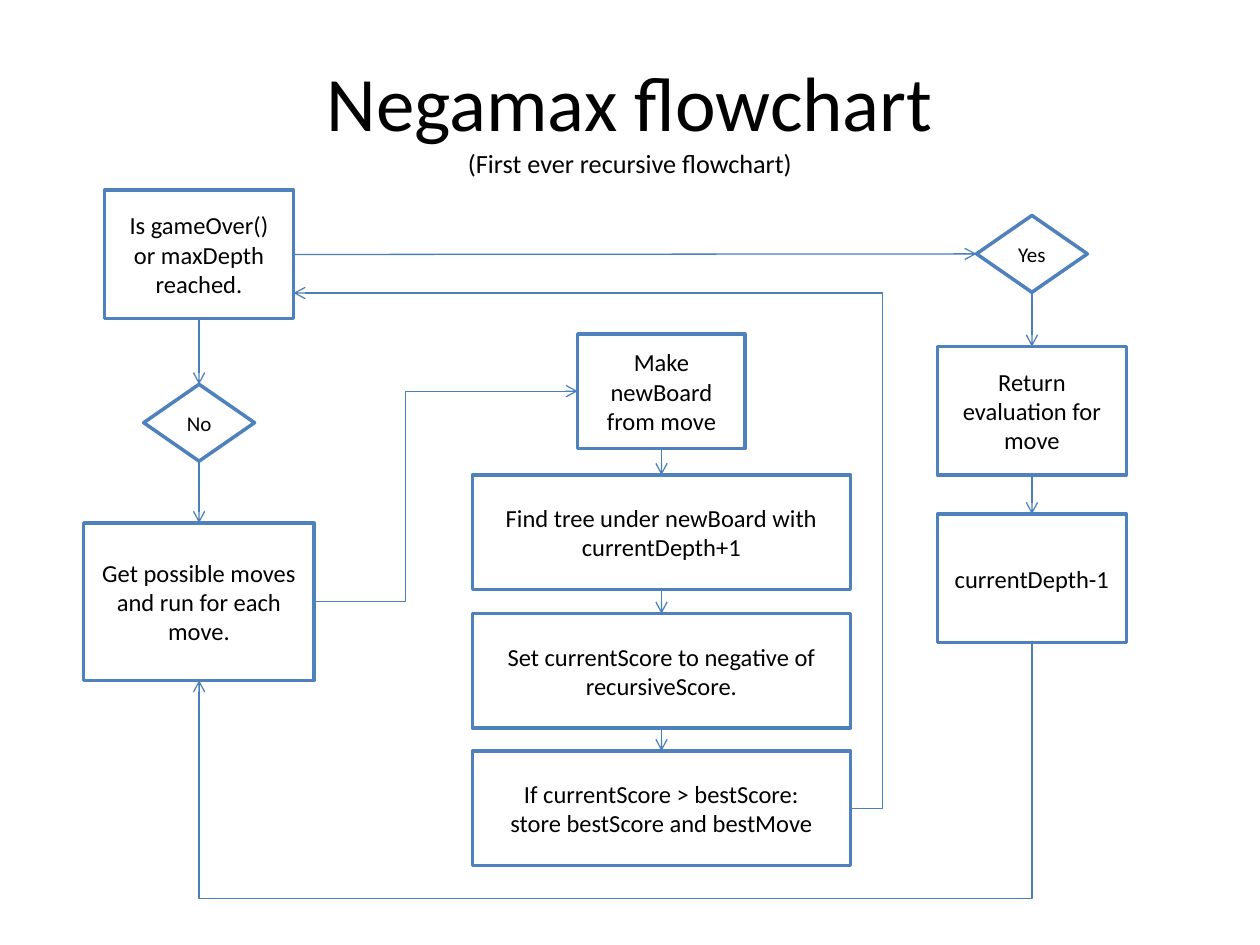
import pptx
import pptx.dml.color
import pptx.enum.shapes
import pptx.enum.text
import pptx.oxml
import pptx.oxml.ns
import pptx.util
from pptx.util import Inches

COLORS = {"text": "000000", "box": "FFFFFF", "border": "4F81BD", "arrow": "4B7EBC"}
FONT = "Calibri"
RECT = pptx.enum.shapes.MSO_SHAPE.RECTANGLE
DIAMOND = pptx.enum.shapes.MSO_SHAPE.DIAMOND
STRAIGHT = pptx.enum.shapes.MSO_CONNECTOR.STRAIGHT
ELBOW = pptx.enum.shapes.MSO_CONNECTOR.ELBOW
TOP, LEFT, BOTTOM, RIGHT = range(4)


def rgb(name):
    """Return the named colour."""
    return pptx.dml.color.RGBColor.from_string(COLORS[name])


def format_run(run, size):
    """Set the font, size and colour of a run."""
    run.font.name = FONT
    run.font.size = pptx.util.Pt(size)
    run.font.color.rgb = rgb("text")


def add_title(slide, heading, subtitle):
    """Fill the title placeholder with a heading and a smaller second line."""
    title = slide.shapes.title
    title.left, title.top = Inches(0.5), Inches(0.3)
    title.width, title.height = Inches(9), Inches(1.25)
    frame = title.text_frame
    frame.auto_size = pptx.enum.text.MSO_AUTO_SIZE.NONE
    frame.vertical_anchor = pptx.enum.text.MSO_ANCHOR.MIDDLE
    paragraph = frame.paragraphs[0]
    paragraph.text = f"{heading}\v{subtitle}"
    paragraph.alignment = pptx.enum.text.PP_ALIGN.CENTER
    for run, size in zip(paragraph.runs, (44, 15)):
        format_run(run, size)


def add_node(slide, kind, text, center_x, top, width, height, size=14):
    """Add a flowchart node centred on a column."""
    node = slide.shapes.add_shape(kind, Inches(center_x - width / 2), Inches(top),
                                  Inches(width), Inches(height))
    node.shadow.inherit = False
    node.fill.solid()
    node.fill.fore_color.rgb = rgb("box")
    node.line.color.rgb = rgb("border")
    node.line.width = pptx.util.Pt(2)
    frame = node.text_frame
    frame.text = text
    frame.vertical_anchor = pptx.enum.text.MSO_ANCHOR.MIDDLE
    for paragraph in frame.paragraphs:
        paragraph.alignment = pptx.enum.text.PP_ALIGN.CENTER
        for run in paragraph.runs:
            format_run(run, size)
    return node


def add_step(slide, text, center_x, top, width=1.5, height=1.02):
    """Add a rectangular process step."""
    return add_node(slide, RECT, text, center_x, top, width, height)


def add_answer(slide, text, center_x, top):
    """Add a diamond holding the answer to the test."""
    return add_node(slide, DIAMOND, text, center_x, top, 0.88, 0.61, size=12)


def style_arrow(arrow):
    """Give a connector its line, an open arrowhead and no shadow."""
    arrow.line.color.rgb = rgb("arrow")
    arrow.line.width = pptx.util.Pt(0.75)
    namespace = pptx.oxml.ns.nsdecls("a")
    arrow.line._get_or_add_ln().append(
        pptx.oxml.parse_xml(f'<a:tailEnd {namespace} type="arrow"/>'))
    arrow.element.spPr.append(pptx.oxml.parse_xml(f"<a:effectLst {namespace}/>"))


def link(slide, source, target, source_side=BOTTOM, target_side=TOP):
    """Join two nodes with a straight arrow."""
    arrow = slide.shapes.add_connector(STRAIGHT, 0, 0, 0, 0)
    arrow.begin_connect(source, source_side)
    arrow.end_connect(target, target_side)
    style_arrow(arrow)


def set_bend(arrow, ratio):
    """Place the middle segment of an elbow arrow."""
    guides = arrow.element.spPr.find(
        f"{pptx.oxml.ns.qn('a:prstGeom')}/{pptx.oxml.ns.qn('a:avLst')}")
    guides.append(pptx.oxml.parse_xml(
        f'<a:gd {pptx.oxml.ns.nsdecls("a")} name="adj1" fmla="val {round(ratio * 100000)}"/>'))


def bend_at_x(slide, start, end, bend_x):
    """Draw an elbow arrow whose middle segment is vertical at bend_x."""
    arrow = slide.shapes.add_connector(ELBOW, *start, *end)
    set_bend(arrow, (bend_x - start[0]) / (end[0] - start[0]))
    style_arrow(arrow)


def bend_at_y(slide, start, end, bend_y):
    """Draw a leftward elbow arrow whose middle segment is horizontal at bend_y."""
    run, drop = start[0] - end[0], end[1] - start[1]
    left = (start[0] + end[0] - drop) // 2
    top = (start[1] + end[1] - run) // 2
    arrow = slide.shapes.add_connector(ELBOW, left, top, left + drop, top + run)
    arrow.element.spPr.xfrm.set("rot", str(90 * 60000))
    set_bend(arrow, (bend_y - start[1]) / drop)
    style_arrow(arrow)


def side_point(node, side, share=0.5):
    """Return the point at a share of the way along one side of a node."""
    if side in (LEFT, RIGHT):
        x = node.left + (node.width if side == RIGHT else 0)
        return x, node.top + round(node.height * share)
    y = node.top + (node.height if side == BOTTOM else 0)
    return node.left + round(node.width * share), y


def main():
    """Build the flowchart slide."""
    deck = pptx.Presentation()
    deck.slide_width, deck.slide_height = Inches(10), Inches(7.5)
    slide = deck.slides.add_slide(deck.slide_layouts[5])
    add_title(slide, "Negamax flowchart", "(First ever recursive flowchart)")

    search_x, move_x, result_x = 1.58, 5.25, 8.19
    end_test = add_step(slide, "Is gameOver() or maxDepth reached.", search_x, 1.51)
    no = add_answer(slide, "No", search_x, 3.05)
    get_moves = add_step(slide, "Get possible moves and run for each move.",
                         search_x, 4.15, 1.83, 1.25)

    move_steps = [
        add_step(slide, text, move_x, top, width, 0.91)
        for text, top, width in (
            ("Make newBoard from move", 2.65, 1.33),
            ("Find tree under newBoard with currentDepth+1", 3.77, 3),
            ("Set currentScore to negative of recursiveScore.", 4.87, 3),
            ("If currentScore > bestScore:\nstore bestScore and bestMove", 5.96, 3),
        )
    ]

    yes = add_answer(slide, "Yes", result_x, 1.71)
    evaluation = add_step(slide, "Return evaluation for move", result_x, 2.75)
    depth_down = add_step(slide, "currentDepth-1", result_x, 4.08)

    for column in ([end_test, no, get_moves], move_steps, [yes, evaluation, depth_down]):
        for source, target in zip(column, column[1:]):
            link(slide, source, target)
    link(slide, end_test, yes, RIGHT, LEFT)

    bend_at_x(slide, side_point(get_moves, RIGHT), side_point(move_steps[0], LEFT),
              Inches(3.22))
    bend_at_x(slide, side_point(move_steps[-1], RIGHT), side_point(end_test, RIGHT, 0.8),
              Inches(7))
    bend_at_y(slide, side_point(depth_down, BOTTOM), side_point(get_moves, BOTTOM),
              Inches(7.13))
    deck.save("out.pptx")


main()
